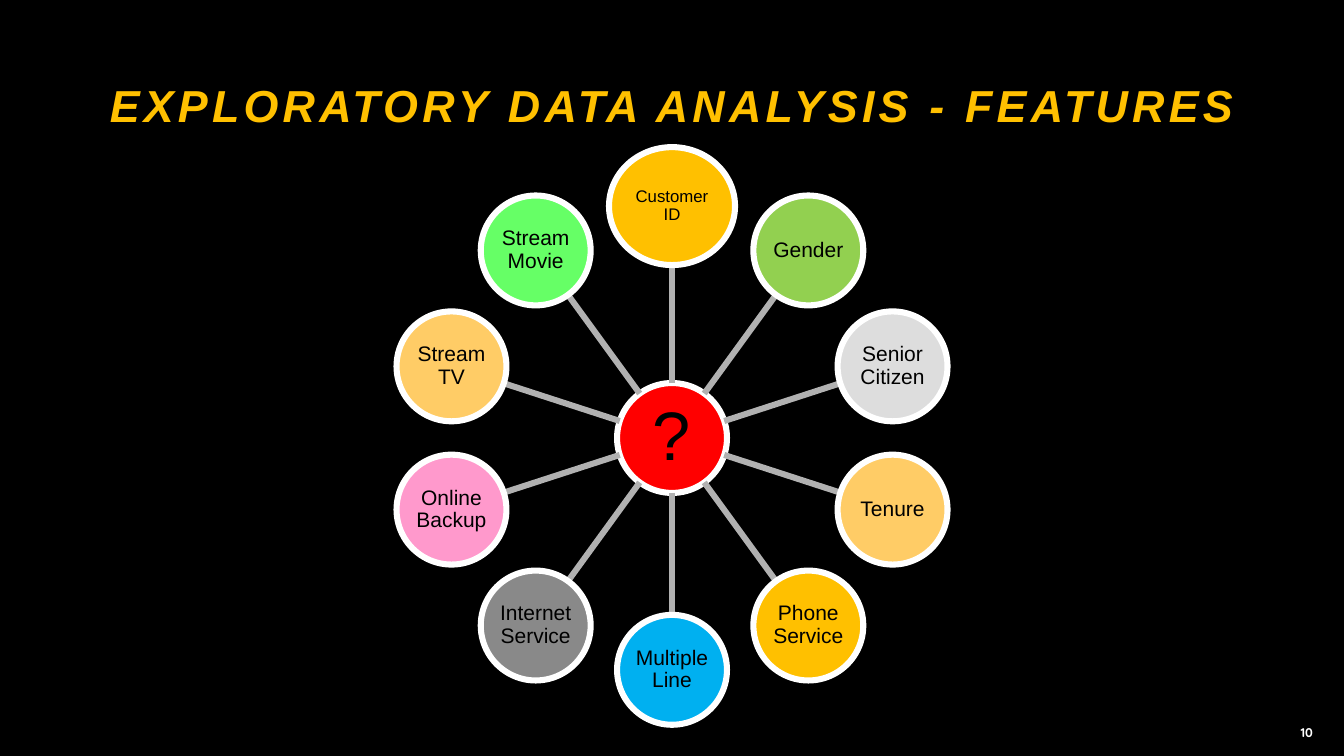
from math import cos, radians, sin

from lxml.etree import SubElement
from pptx import Presentation
from pptx.dml.color import RGBColor
from pptx.enum.shapes import MSO_CONNECTOR, MSO_SHAPE
from pptx.enum.text import MSO_ANCHOR, PP_ALIGN
from pptx.oxml.ns import qn
from pptx.util import Inches, Pt

FEATURES = [
    ("Customer ID", "FFC000"),
    ("Gender", "92D050"),
    ("Senior Citizen", "DDDDDD"),
    ("Tenure", "FFCC66"),
    ("Phone Service", "FFC000"),
    ("Multiple Line", "00B0F0"),
    ("Internet Service", "898989"),
    ("Online Backup", "FF99CC"),
    ("Stream TV", "FFCC66"),
    ("Stream Movie", "66FF66"),
]
NODE = 1.09
STROKE = Pt(4.33)


def color(code):
    return RGBColor.from_string(code)


def write(shape, text, size, code, align=PP_ALIGN.CENTER, face="Arial"):
    """Put one centred line of text in a shape and return its paragraph."""
    frame = shape.text_frame
    frame.word_wrap = True
    frame.vertical_anchor = MSO_ANCHOR.MIDDLE
    para = frame.paragraphs[0]
    para.text = text
    para.alignment = align
    para.font.name = face
    para.font.size = Pt(size)
    para.font.color.rgb = color(code)
    return para


def add_title(slide, left, top, width, height):
    box = slide.shapes.add_textbox(*map(Inches, (left, top, width, height)))
    para = write(box, "EXPLORATORY DATA ANALYSIS - FEATURES", 32, "FFC000")
    para.font.bold = para.font.italic = True
    para.runs[0].font._element.set("spc", "300")


def add_number(slide, left, top, width, height):
    box = slide.shapes.add_textbox(*map(Inches, (left, top, width, height)))
    para = write(box, "10", 9, "FFFFFF", PP_ALIGN.RIGHT, "Quicksand")
    para.font.bold = True


def add_node(slide, x, y, text, fill, size, width=NODE, height=NODE, inset=0.01):
    """Draw a labelled ellipse centred on (x, y)."""
    node = slide.shapes.add_shape(
        MSO_SHAPE.OVAL, Inches(x - width / 2), Inches(y - height / 2),
        Inches(width), Inches(height))
    node.shadow.inherit = False
    node.fill.solid()
    node.fill.fore_color.rgb = color(fill)
    node.line.color.rgb = color("FFFFFF")
    node.line.width = STROKE
    frame = node.text_frame
    frame.margin_left = frame.margin_right = Inches(inset)
    frame.margin_top = frame.margin_bottom = Inches(inset)
    write(node, text, size, "000000").line_spacing = 0.9


def add_spoke(slide, x, y, angle, start, end):
    """Draw a line along an angle, between two distances from (x, y)."""
    ends = [Inches(v) for dist in (start, end)
            for v in (x + dist * cos(angle), y + dist * sin(angle))]
    spoke = slide.shapes.add_connector(MSO_CONNECTOR.STRAIGHT, *ends)
    spoke.line.color.rgb = color("B1B1B1")
    spoke.line.width = STROKE
    SubElement(spoke._element.spPr, qn("a:effectLst"))


def add_wheel(slide, left, top, width, height):
    x, y = left + width / 2, top + height / 2
    ring = (height - NODE) / 2
    add_node(slide, x, y, "?", "FF0000", 49, inset=0.03)
    for i, (text, fill) in enumerate(FEATURES):
        angle = radians(360 / len(FEATURES) * i - 90)
        wide, high, size = (1.25, 1.17, 12) if i == 0 else (NODE, NODE, 15)
        add_spoke(slide, x, y, angle, NODE / 2, ring - high / 2)
        add_node(slide, x + ring * cos(angle), y + ring * sin(angle),
                 text, fill, size, wide, high)


def main():
    deck = Presentation()
    deck.slide_width, deck.slide_height = Inches(13.33), Inches(7.5)
    slide = deck.slides.add_slide(deck.slide_layouts[6])
    slide.background.fill.solid()
    slide.background.fill.fore_color.rgb = color("000000")
    add_number(slide, 12.63, 7.07, 0.49, 0.4)
    add_title(slide, 0.65, 0.59, 12.03, 0.9)
    add_wheel(slide, 3.93, 1.5, 5.47, 5.69)
    deck.save("out.pptx")


if __name__ == "__main__":
    main()
